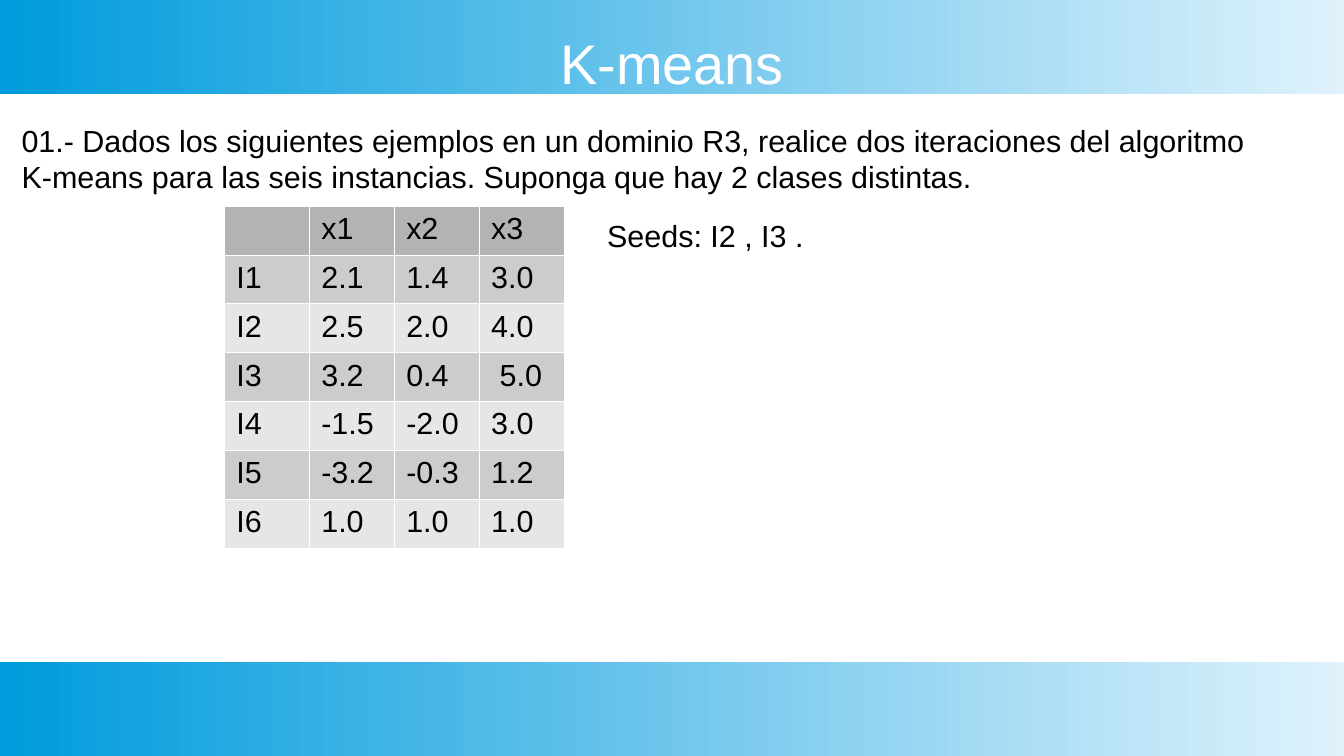
"""Build the K-means exercise slide with its table of instances."""
import dataclasses

import lxml.etree
import pptx
import pptx.dml.color
import pptx.enum.text
import pptx.oxml.ns
import pptx.util

Cm = pptx.util.Cm
Pt = pptx.util.Pt
RGB = pptx.dml.color.RGBColor.from_string


@dataclasses.dataclass(frozen=True)
class Theme:
    font: str = "Arial"
    title_size: float = 33
    body_size: float = 18
    white: str = "FFFFFF"
    ink: str = "000000"
    band_colours: tuple = ("DFF2FC", "009BDD")
    header: str = "B3B3B3"
    rows: tuple = ("CCCCCC", "E6E6E6")
    border: float = 0.06


THEME = Theme()
SLIDE_WIDTH, SLIDE_HEIGHT, BAND_HEIGHT = 28, 15.75, 1.96
COLUMN_WIDTH, ROW_HEIGHT = 1.77, 0.97

STATEMENT = (
    "01.- Dados los siguientes ejemplos en un dominio R3, realice dos iteraciones del algoritmo",
    "K-means para las seis instancias. Suponga que hay 2 clases distintas.",
)
INSTANCES = (
    ("", "x1", "x2", "x3"),
    ("I1", "2.1", "1.4", "3.0"),
    ("I2", "2.5", "2.0", "4.0"),
    ("I3", "3.2", "0.4", " 5.0"),
    ("I4", "-1.5", "-2.0", "3.0"),
    ("I5", "-3.2", "-0.3", "1.2"),
    ("I6", "1.0", "1.0", "1.0"),
)


def apply_format(target, values):
    for name, value in values.items():
        setattr(target, name, value)


def write_lines(frame, lines, size=THEME.body_size, colour=THEME.ink):
    for index, line in enumerate(lines):
        paragraph = frame.add_paragraph() if index else frame.paragraphs[0]
        run = paragraph.add_run()
        run.text = line
        apply_format(run.font, {"name": THEME.font, "size": Pt(size), "bold": False})
        run.font.color.rgb = RGB(colour)


def add_band(slide, top):
    band = slide.shapes.add_shape(
        pptx.enum.shapes.MSO_SHAPE.RECTANGLE, 0, Cm(top), Cm(SLIDE_WIDTH), Cm(BAND_HEIGHT)
    )
    band.shadow.inherit = False
    band.line.fill.background()
    band.fill.gradient()
    band.fill.gradient_angle = 180
    for stop, colour in zip(band.fill.gradient_stops, THEME.band_colours):
        stop.color.rgb = RGB(colour)


def place_title(slide, text):
    title = slide.shapes.title
    title.element.getparent().append(title.element)
    apply_format(title, {"left": Cm(1.4), "top": Cm(0.63), "width": Cm(25.2), "height": Cm(1.32)})
    frame = title.text_frame
    apply_format(frame, {
        "margin_left": 0, "margin_top": 0, "margin_right": 0, "margin_bottom": 0,
        "vertical_anchor": pptx.enum.text.MSO_ANCHOR.MIDDLE,
        "auto_size": pptx.enum.text.MSO_AUTO_SIZE.NONE,
        "word_wrap": True,
    })
    write_lines(frame, (text,), THEME.title_size, THEME.white)
    frame.paragraphs[0].alignment = pptx.enum.text.PP_ALIGN.CENTER


def add_text(slide, lines, left, top, width, height):
    frame = slide.shapes.add_textbox(Cm(left), Cm(top), Cm(width), Cm(height)).text_frame
    frame.word_wrap = True
    write_lines(frame, lines)


def add_borders(cell):
    qn = pptx.oxml.ns.qn
    properties = cell._tc.get_or_add_tcPr()
    for side in ("lnL", "lnR", "lnT", "lnB"):
        edge = lxml.etree.SubElement(properties, qn(f"a:{side}"), w=str(Pt(THEME.border)))
        fill = lxml.etree.SubElement(edge, qn("a:solidFill"))
        lxml.etree.SubElement(fill, qn("a:srgbClr"), val=THEME.white)


def add_instances(slide, left, top):
    row_count, column_count = len(INSTANCES), len(INSTANCES[0])
    table = slide.shapes.add_table(
        row_count, column_count, Cm(left), Cm(top),
        Cm(COLUMN_WIDTH * column_count), Cm(ROW_HEIGHT * row_count),
    ).table
    apply_format(table, {"first_row": False, "horz_banding": False})
    for row_index, values in enumerate(INSTANCES):
        colour = THEME.rows[(row_index - 1) % 2] if row_index else THEME.header
        for column_index, value in enumerate(values):
            cell = table.cell(row_index, column_index)
            add_borders(cell)
            cell.fill.solid()
            cell.fill.fore_color.rgb = RGB(colour)
            if value:
                write_lines(cell.text_frame, (value,))


def main():
    deck = pptx.Presentation()
    apply_format(deck, {"slide_width": Cm(SLIDE_WIDTH), "slide_height": Cm(SLIDE_HEIGHT)})
    slide = deck.slides.add_slide(deck.slide_layouts.get_by_name("Title Only"))
    for top in (0, SLIDE_HEIGHT - BAND_HEIGHT):
        add_band(slide, top)
    place_title(slide, "K-means")
    add_text(slide, STATEMENT, 0.2, 2.41, 27, 1.78)
    add_instances(slide, 4.67, 4.29)
    add_text(slide, ("Seeds: I2 , I3 .",), 12.4, 4.39, 4.95, 0.97)
    deck.save("out.pptx")


if __name__ == "__main__":
    main()
